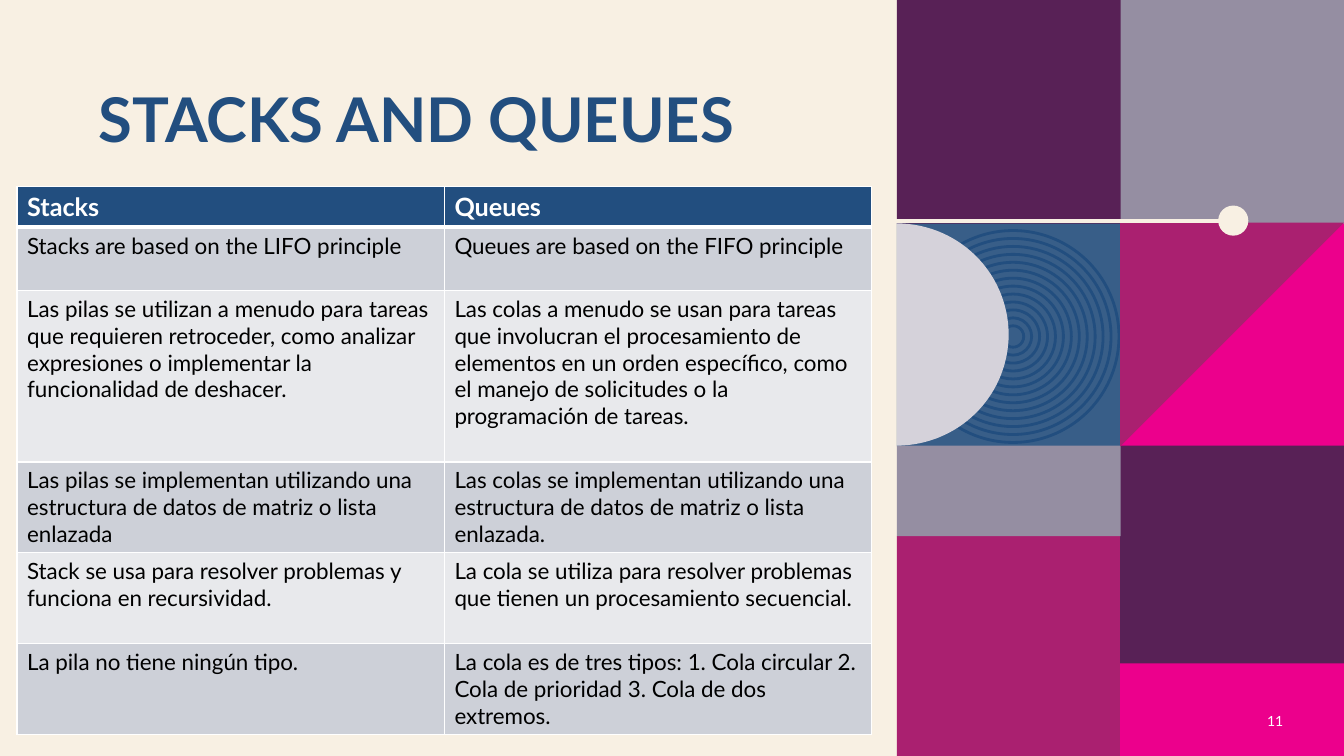
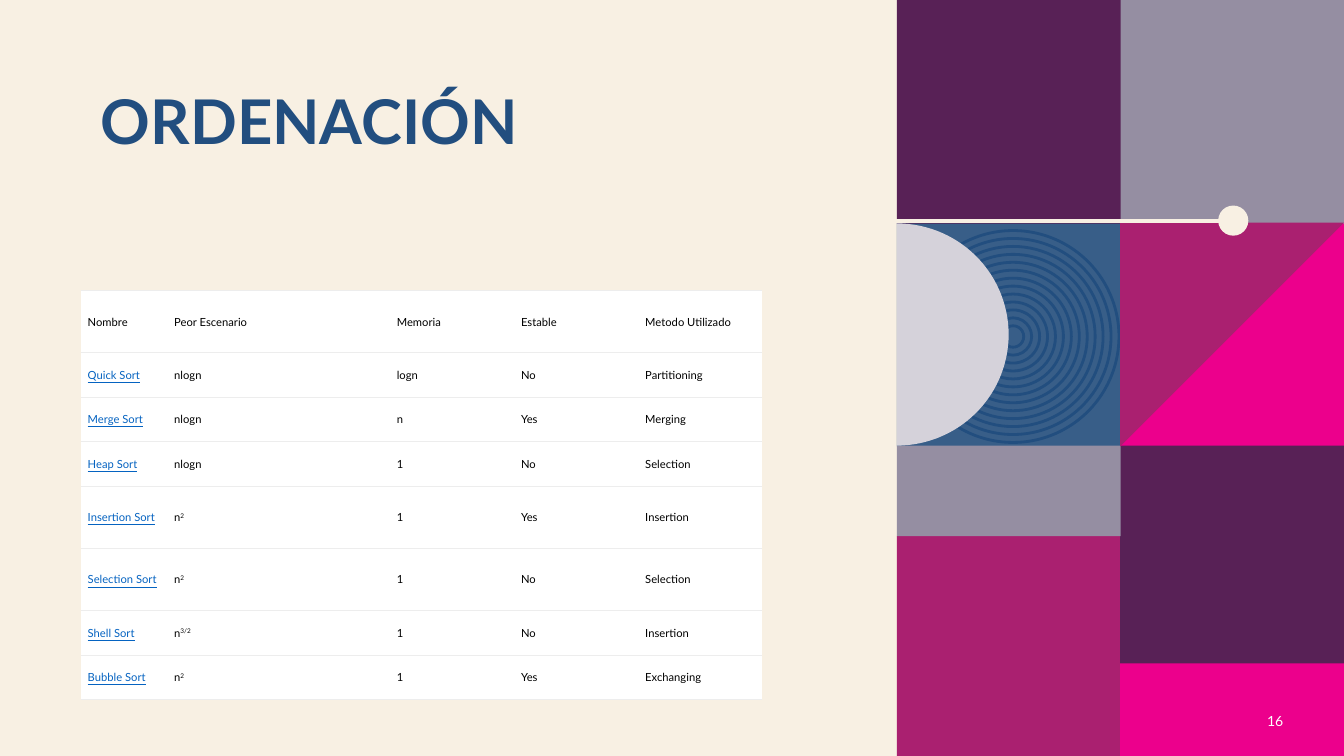
"""Build two slides on data structures beside a panel of coloured tiles."""
import math
import pptx
import pptx.dml.color
import pptx.enum.shapes
import pptx.enum.text
import pptx.oxml
import pptx.oxml.ns
import pptx.util

Cm, Pt = pptx.util.Cm, pptx.util.Pt
RGB = pptx.dml.color.RGBColor.from_string
Kind = pptx.enum.shapes.MSO_SHAPE
Align, Anchor = pptx.enum.text.PP_ALIGN, pptx.enum.text.MSO_ANCHOR


class Theme:
    font = "Lato"
    cream, white, black = "F8F0E3", "FFFFFF", "000000"
    navy, blue, link = "224E7F", "385E88", "0563C1"
    pink, berry, plum = "EC008C", "AA2070", "582156"
    grey, pale, rule = "958EA2", "D5D2DA", "EDEDED"
    bands = ("E8E9EC", "CDD0D8")
    title, head, body, page, small = 44, 18, 16, 10, 8


def write(frame, text, size, color, bold=False, under=False,
          align=Align.LEFT, anchor=Anchor.TOP, space=None):
    frame.word_wrap = True
    frame.vertical_anchor = anchor
    para = frame.paragraphs[0]
    para.alignment = align
    para.line_spacing = space
    for raised, part in enumerate(text.split("^")):
        run = para.add_run()
        run.text = part
        font = run.font
        font.name, font.size = Theme.font, Pt(size)
        font.bold, font.underline = bold, under
        font.color.rgb = RGB(color)
        if raised:
            run._r.get_or_add_rPr().set("baseline", "30000")


def paint(shape, fill=None, line=None):
    shape.shadow.inherit = False
    if fill:
        shape.fill.solid()
        shape.fill.fore_color.rgb = RGB(fill)
    else:
        shape.fill.background()
    if line:
        shape.line.color.rgb = RGB(line)
        shape.line.width = Pt(2)
    else:
        shape.line.fill.background()


deck = pptx.Presentation()
deck.slide_width, deck.slide_height = Cm(33.87), Cm(19.05)
layout = deck.slide_layouts[5]
layout.background.fill.solid()
layout.background.fill.fore_color.rgb = RGB(Theme.cream)
for holder in list(layout.placeholders)[1:]:
    holder.element.getparent().remove(holder.element)

first = deck.slides.add_slide(layout)
art = first.shapes
side, left, right = 5.64, 22.6, 28.23
tiles = [
    (left, 5.61, side, Theme.blue),
    (right, 5.6, side, Theme.pink),
    (right, 0, side, Theme.grey),
    (left, 0, side, Theme.plum),
    (left, 13.51, 5.54, Theme.berry),
    (right, 11.23, side, Theme.plum),
    (right, 16.72, 2.33, Theme.pink),
    (left, 11.23, 2.28, Theme.grey),
]
for x, y, high, color in tiles:
    paint(art.add_shape(Kind.RECTANGLE, Cm(x), Cm(y), Cm(side), Cm(high)), color)

for step in range(13):
    size = 5.34 - 0.4 * step
    ring = art.add_shape(Kind.OVAL, Cm(25.53 - size / 2), Cm(8.48 - size / 2),
                         Cm(size), Cm(size))
    paint(ring, line=Theme.navy)

corner = [(right + side, 5.61), (right, 5.61 + side), (right, 5.61)]
turns = [math.pi * (step / 60 - 0.5) for step in range(61)]
disc = [(left + 2.82 * math.cos(turn), 8.43 + 2.8 * math.sin(turn)) for turn in turns]
for points, color in ((corner, Theme.berry), (disc, Theme.pale)):
    spots = [(Cm(x), Cm(y)) for x, y in points]
    pen = art.build_freeform(*spots[0])
    pen.add_line_segments(spots[1:], close=True)
    paint(pen.convert_to_shape(), color)

bar = art.add_connector(pptx.enum.shapes.MSO_CONNECTOR.STRAIGHT,
                        Cm(22.48), Cm(5.56), Cm(30.86), Cm(5.56))
bar.line.color.rgb = RGB(Theme.cream)
bar.line.width = Pt(3)
bar.element.spPr.append(pptx.oxml.parse_xml(
    f"<a:effectLst {pptx.oxml.ns.nsdecls('a')}/>"))
paint(art.add_shape(Kind.OVAL, Cm(30.7), Cm(5.18), Cm(0.76), Cm(0.76)), Theme.cream)

for shape in list(art):
    if not shape.is_placeholder:
        layout.shapes.element.append(shape.element)

stacks = [
    ("Stacks", "Queues"),
    ("Stacks are based on the LIFO principle",
     "Queues are based on the FIFO principle"),
    ("Las pilas se utilizan a menudo para tareas que requieren retroceder, como "
     "analizar expresiones o implementar la funcionalidad de deshacer.",
     "Las colas a menudo se usan para tareas que involucran el procesamiento de "
     "elementos en un orden específico, como el manejo de solicitudes o la "
     "programación de tareas."),
    ("Las pilas se implementan utilizando una estructura de datos de matriz o "
     "lista enlazada",
     "Las colas se implementan utilizando una estructura de datos de matriz o "
     "lista enlazada."),
    ("Stack se usa para resolver problemas y funciona en recursividad.",
     "La cola se utiliza para resolver problemas que tienen un procesamiento "
     "secuencial."),
    ("La pila no tiene ningún tipo.",
     "La cola es de tres tipos: 1. Cola circular 2. Cola de prioridad 3. Cola de "
     "dos extremos."),
]
sorts = [
    ("Nombre", "Peor Escenario", "Memoria", "Estable", "Metodo Utilizado"),
    ("Quick Sort", "nlogn", "logn", "No", "Partitioning"),
    ("Merge Sort", "nlogn", "n", "Yes", "Merging"),
    ("Heap Sort", "nlogn", "1", "No", "Selection"),
    ("Insertion Sort", "n^2", "1", "Yes", "Insertion"),
    ("Selection Sort", "n^2", "1", "No", "Selection"),
    ("Shell Sort", "n^3/2", "1", "No", "Insertion"),
    ("Bubble Sort", "n^2", "1", "Yes", "Exchanging"),
]
pages = [
    dict(slide=first, title="STACKS AND QUEUES", spot=(2.24, 2.13), page="11",
         rows=stacks, at=(0.43, 4.7), wide=[10.77] * 2,
         high=[1.02, 1.6, 4.32] + [2.29] * 3, plain=False),
    dict(slide=deck.slides.add_slide(layout), title="ORDENACIÓN", spot=(2.29, 2.18),
         page="16", rows=sorts, at=(2.03, 7.32), wide=[2.18, 5.61] + [3.13] * 3,
         high=[1.57] + [1.12] * 3 + [1.57] * 2 + [1.12] * 2, plain=True),
]
for item in pages:
    shapes, plain = item["slide"].shapes, item["plain"]
    title = shapes.title
    title.left, title.top = map(Cm, item["spot"])
    title.width, title.height = Cm(18.9), Cm(3.68)
    write(title.text_frame, item["title"], Theme.title, Theme.navy, bold=True, space=0.9)

    label = shapes.add_textbox(Cm(31.32), Cm(17.65), Cm(1.27), Cm(1.02))
    write(label.text_frame, item["page"], Theme.page, Theme.white,
          align=Align.RIGHT, anchor=Anchor.MIDDLE)

    wide, high = item["wide"], item["high"]
    table = shapes.add_table(len(high), len(wide), *map(Cm, item["at"]),
                             Cm(sum(wide)), Cm(sum(high))).table
    table.first_row = table.horz_banding = False
    for col, width in zip(table.columns, wide):
        col.width = Cm(width)
    for row, height in zip(table.rows, high):
        row.height = Cm(height)

    for r, texts in enumerate(item["rows"]):
        for c, text in enumerate(texts):
            cell = table.cell(r, c)
            if plain:
                linked = r > 0 and c == 0
                fill, edge = Theme.white, Theme.rule
                widths = dict(L=0, R=0, T=0.75, B=0.75)
                cell.margin_left = cell.margin_right = Cm(0.18)
                cell.margin_top = cell.margin_bottom = Cm(0.08)
                cell.vertical_anchor = Anchor.MIDDLE
                look = dict(size=Theme.small, under=linked, anchor=Anchor.MIDDLE,
                            color=Theme.link if linked else Theme.black)
            else:
                fill, edge = Theme.bands[r % 2] if r else Theme.navy, Theme.white
                widths = dict(L=1, R=1, T=3 if r == 1 else 1, B=1 if r else 3)
                look = dict(size=Theme.body if r else Theme.head, bold=r == 0,
                            color=Theme.black if r else Theme.white)
            write(cell.text_frame, text, **look)
            if plain:
                cell.vertical_anchor = Anchor.MIDDLE
            props = cell._tc.get_or_add_tcPr()
            for name, width in widths.items():
                ink = (f'<a:solidFill><a:srgbClr val="{edge}"/></a:solidFill>'
                       if width else "<a:noFill/>")
                props.append(pptx.oxml.parse_xml(
                    f'<a:ln{name} {pptx.oxml.ns.nsdecls("a")} w="{Pt(width)}">'
                    f"{ink}</a:ln{name}>"))
            cell.fill.solid()
            cell.fill.fore_color.rgb = RGB(fill)

deck.save("out.pptx")
